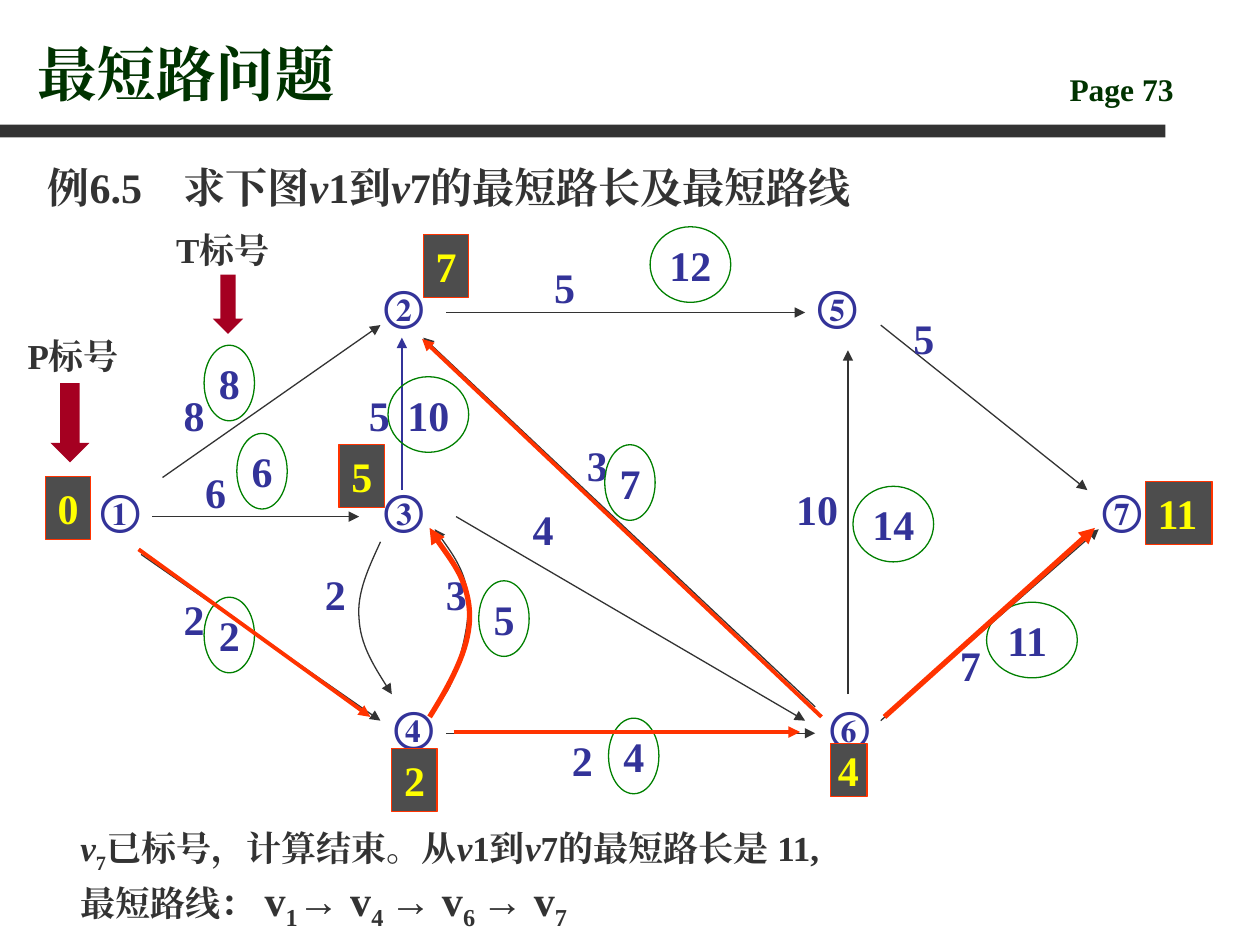
from lxml.etree import SubElement
from pptx import Presentation
from pptx.dml.color import RGBColor
from pptx.enum.shapes import MSO_CONNECTOR, MSO_SHAPE as SHAPE
from pptx.enum.text import MSO_ANCHOR as ANCHOR, PP_ALIGN as ALIGN
from pptx.oxml.ns import qn
from pptx.util import Pt

PX = 9144  # 100 px to the inch
FONT = "Times New Roman"
INK, BLUE, RED, GREEN = "333333", "333399", "FF3300", "008000"
DARK_GREEN, GREY, YELLOW, CRIMSON = "003300", "4D4D4D", "FFFF00", "A50021"
ITALIC, SUB = {"italic": True}, {"sub": True}
BIG, BIG_SUB = {"size": 24}, {"size": 24, "sub": True}

HEADING = [[("例6.5\t求下图", {}), ("v", ITALIC), ("1到", {}), ("v", ITALIC),
            ("7的最短路长及最短路线", {})]]
ANSWER = [
    [("v", ITALIC), ("7", SUB), ("已标号，计算结束。从", {}), ("v", ITALIC),
     ("1到", {}), ("v", ITALIC), ("7的最短路长是 11,", {})],
    [("最短路线： ", {}), ("v", BIG), ("1", BIG_SUB), ("→ v", BIG), ("4 ", BIG_SUB),
     ("→ v", BIG), ("6 ", BIG_SUB), ("→ v", BIG), ("7", BIG_SUB)],
]
# label, left, top
NODES = [("①", 70, 379), ("②", 295, 217), ("③", 295, 379), ("④", 303, 551),
         ("⑤", 639, 217), ("⑥", 649, 551), ("⑦", 865, 379)]
WEIGHTS = [("8", 136, 304), ("6", 153, 365), ("2", 136, 466), ("5", 283, 304),
           ("2", 248, 446), ("3", 344, 446), ("5", 430, 203), ("3", 456, 344),
           ("4", 413, 395), ("2", 444, 578), ("10", 622, 379), ("5", 715, 243),
           ("7", 752, 503)]
# start x, start y, end x, end y, colour, line width in points
EDGES = [
    (129, 379, 302, 258, INK, 0.75), (121, 410, 285, 410, INK, 0.75),
    (112, 440, 302, 572, INK, 0.75), (354, 248, 639, 248, INK, 0.75),
    (319, 389, 319, 268, BLUE, 0.75), (647, 561, 336, 268, INK, 0.75),
    (362, 410, 639, 572, INK, 0.75), (354, 582, 647, 582, INK, 0.75),
    (673, 551, 673, 278, INK, 0.75), (699, 258, 863, 389, INK, 0.75),
    (699, 572, 872, 420, INK, 0.75),
]
ROUTES = [
    (110, 436, 294, 569, RED, 2.25), (360, 581, 635, 581, RED, 2.25),
    (652, 569, 335, 269, RED, 2.25), (702, 569, 869, 419, RED, 3),
]
# Bezier points: a start, then two controls and an end for each segment
EDGE_CURVES = [
    [(302, 430), (293, 450), (283, 470), (285, 491), (286, 511), (298, 531), (311, 551)],
    [(345, 561), (352, 554), (358, 546), (362, 531), (367, 516), (374, 489), (371, 470),
     (368, 452), (357, 436), (345, 420)],
]
ROUTE_CURVE = [(341, 569), (353, 550), (364, 530), (369, 513), (374, 496), (374, 482),
               (369, 466), (364, 451), (345, 427), (341, 419)]
# label, left, top, width
T_LABELS = [("8", 162, 274, 40), ("6", 188, 344, 40), ("2", 162, 474, 40),
            ("5", 380, 461, 40), ("4", 483, 570, 40), ("11", 783, 478, 72),
            ("14", 677, 386, 64), ("7", 480, 353, 40), ("10", 308, 299, 64),
            ("12", 516, 180, 64)]
# label, left, top, width, height
P_LABELS = [("0", 36, 378, 36, 50), ("2", 311, 594, 36, 50), ("4", 659, 590, 29, 42),
            ("5", 269, 353, 36, 50), ("7", 336, 186, 36, 50), ("11", 909, 382, 53, 50)]
# caption and its box, then the arrow box
LEGENDS = [("P标号", (12, 254, 138, 50), (40, 304, 31, 63)),
           ("T标号", (130, 170, 110, 50), (169, 218, 24, 47))]


def color(value):
    return RGBColor.from_string(value)


def scaled(values):
    return [value * PX for value in values]


def write(box, paragraphs, size=24, ink=BLUE, wrap=True, anchor=ANCHOR.TOP,
          inset=(10, 5), spacing=None, tab=None):
    """Fill a shape with text: a string, or lists of (text, style) spans."""
    frame = box.text_frame
    frame.word_wrap, frame.vertical_anchor = wrap, anchor
    frame.margin_left = frame.margin_right = inset[0] * PX
    frame.margin_top = frame.margin_bottom = inset[1] * PX
    if isinstance(paragraphs, str):
        paragraphs = [[(paragraphs, {})]]
    for number, spans in enumerate(paragraphs):
        para = frame.add_paragraph() if number else frame.paragraphs[0]
        para.alignment = ALIGN.LEFT
        if spacing:
            para.line_spacing = spacing
        if tab:
            stops = SubElement(para._p.get_or_add_pPr(), qn("a:tabLst"))
            SubElement(stops, qn("a:tab"), pos=str(tab * PX), algn="l")
        for text, style in spans:
            span = para.add_run()
            span.text = text
            font = span.font
            font.name, font.bold, font.size = FONT, True, Pt(style.get("size", size))
            font.italic = style.get("italic", False)
            font.color.rgb = color(ink)
            SubElement(font._element, qn("a:ea"), typeface=FONT)
            if style.get("sub"):
                font._element.set("baseline", "-25000")


def add_text(page, bounds, paragraphs, **style):
    write(page.shapes.add_textbox(*scaled(bounds)), paragraphs, **style)


def add_block(page, kind, bounds, fill=None, outline=None):
    block = page.shapes.add_shape(kind, *scaled(bounds))
    block.shadow.inherit = False
    if fill:
        block.fill.solid()
        block.fill.fore_color.rgb = color(fill)
    else:
        block.fill.background()
    if outline:
        block.line.color.rgb = color(outline)
        block.line.width = Pt(0.75)
    else:
        block.line.fill.background()
    return block


def style_arrow(arrow, ink, width):
    arrow.line.color.rgb = color(ink)
    arrow.line.width = Pt(width)
    SubElement(arrow.line._get_or_add_ln(), qn("a:tailEnd"), type="triangle")


def add_arrow(page, x1, y1, x2, y2, ink, width):
    arrow = page.shapes.add_connector(MSO_CONNECTOR.STRAIGHT, *scaled((x1, y1, x2, y2)))
    style_arrow(arrow, ink, width)
    SubElement(arrow._element.spPr, qn("a:effectLst"))


def add_curve(page, points, ink, width):
    """Draw a Bezier arrow by regrouping line segments in threes."""
    builder = page.shapes.build_freeform(*points[0], scale=PX)
    builder.add_line_segments(points[1:], close=False)
    curve = builder.convert_to_shape()
    curve.fill.background()
    style_arrow(curve, ink, width)
    curve.shadow.inherit = False
    outline = next(curve._element.iter(qn("a:path")))
    segments = outline.findall(qn("a:lnTo"))
    for first in range(0, len(segments), 3):
        bezier = SubElement(outline, qn("a:cubicBezTo"))
        for segment in segments[first:first + 3]:
            bezier.append(segment[0])
            outline.remove(segment)


def main():
    deck = Presentation()
    deck.slide_width, deck.slide_height = scaled((1000, 750))
    page = deck.slides.add_slide(deck.slide_layouts[6])

    add_block(page, SHAPE.RECTANGLE, (0, 99, 925, 10), fill=INK)
    add_text(page, (839, 51, 142, 40), "Page 73", size=18, ink=DARK_GREEN)
    add_text(page, (20, 13, 803, 78), "最短路问题", size=34, ink=DARK_GREEN,
             anchor=ANCHOR.BOTTOM)
    add_text(page, (28, 123, 890, 55), HEADING, ink=INK, tab=108)

    for label, left, top in NODES:
        add_text(page, (left, top, 51, 50), label, wrap=False)
    for edge in EDGES:
        add_arrow(page, *edge)
    for points in EDGE_CURVES:
        add_curve(page, points, INK, 0.75)
    for label, left, top in WEIGHTS:
        add_text(page, (left, top, 19 + 17 * len(label), 50), label, wrap=False)

    for label, left, top, width in T_LABELS:
        oval = add_block(page, SHAPE.OVAL, (left, top, width, 60), outline=GREEN)
        write(oval, label, wrap=width > 64, inset=(6, 1))
    for label, *bounds in P_LABELS:
        badge = add_block(page, SHAPE.RECTANGLE, bounds, fill=GREY, outline=RED)
        inset = (10, 5) if bounds[3] == 50 else (6, 1)
        write(badge, label, ink=YELLOW, wrap=False, inset=inset)
    for route in ROUTES:
        add_arrow(page, *route)
    add_curve(page, ROUTE_CURVE, RED, 3)

    add_text(page, (54, 651, 714, 94), ANSWER, size=20, ink=INK)
    for caption, caption_box, arrow_box in LEGENDS:
        add_block(page, SHAPE.DOWN_ARROW, arrow_box, fill=CRIMSON)
        add_text(page, caption_box, caption, size=20, ink=INK, spacing=1.2)

    deck.save("out.pptx")


if __name__ == "__main__":
    main()
